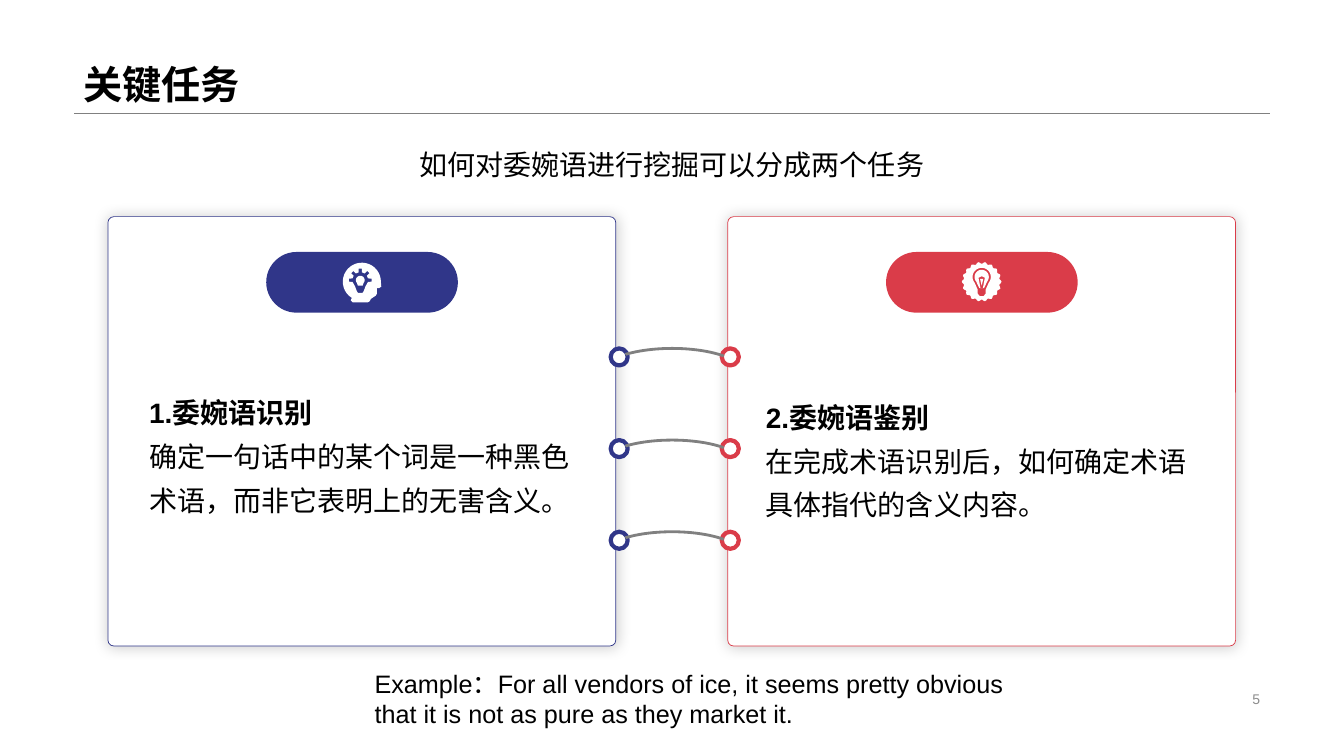
from math import cos, radians, sin

from lxml import etree
from pptx import Presentation
from pptx.dml.color import RGBColor
from pptx.enum.shapes import MSO_CONNECTOR, MSO_SHAPE
from pptx.enum.text import MSO_ANCHOR, MSO_AUTO_SIZE, PP_ALIGN
from pptx.oxml import parse_xml
from pptx.oxml.ns import qn
from pptx.util import Cm, Pt

ROUNDED, OVAL, ARC = MSO_SHAPE.ROUNDED_RECTANGLE, MSO_SHAPE.OVAL, MSO_SHAPE.ARC
MIDDLE, TOP, BOTTOM = MSO_ANCHOR.MIDDLE, MSO_ANCHOR.TOP, MSO_ANCHOR.BOTTOM
LEFT, CENTER, RIGHT = PP_ALIGN.LEFT, PP_ALIGN.CENTER, PP_ALIGN.RIGHT
COLORS = {name: RGBColor.from_string(value) for name, value in {
    "blue": "303689", "red": "DA3C49", "white": "FFFFFF",
    "black": "000000", "gray": "808080", "number": "8C8C8C"}.items()}
CARD_SHADOW = (
    '<a:effectLst xmlns:a="http://schemas.openxmlformats.org/drawingml/2006/main">'
    '<a:outerShdw blurRad="127000" dist="0" dir="0" algn="ctr" rotWithShape="0">'
    '<a:srgbClr val="000000"><a:alpha val="20000"/></a:srgbClr>'
    '</a:outerShdw></a:effectLst>')

prs = Presentation()
prs.slide_width, prs.slide_height = Cm(33.87), Cm(19.05)
s = prs.slides.add_slide(prs.slide_layouts[5])


def arc_points(cx, cy, radius, start, end, step=10):
    """Points on a circle, angles in degrees running clockwise from the right."""
    return [(cx + radius * cos(radians(a)), cy + radius * sin(radians(a)))
            for a in range(start, end + 1, step)]


def write_text(sp, lines, size, color="black", align=LEFT, anchor=MIDDLE,
               spacing=1.0, bold_first=False):
    tf = sp.text_frame
    tf.word_wrap = True
    tf.auto_size = MSO_AUTO_SIZE.NONE
    tf.vertical_anchor = anchor
    tf.text = "\n".join(lines)
    for i, p in enumerate(tf.paragraphs):
        p.alignment, p.line_spacing = align, spacing
        p.space_before = Pt(0)
        font = p.runs[0].font
        font.name, font.size = "Arial", Pt(size)
        font.bold = bold_first and i == 0
        font.color.rgb = COLORS[color]


# Title, rule and texts outside the cards
title = s.shapes.title
title.left, title.top, title.width, title.height = Cm(1.85), Cm(0), Cm(30.15), Cm(2.84)
write_text(title, ["关键任务"], 28, anchor=BOTTOM, spacing=0.9, bold_first=True)

rule = s.shapes.add_connector(MSO_CONNECTOR.STRAIGHT, Cm(1.87), Cm(2.86), Cm(32), Cm(2.86))
rule.line.color.rgb = COLORS["gray"]
rule.line.width = Pt(0.25)
etree.SubElement(rule._element.spPr, qn("a:effectLst"))

intro = s.shapes.add_textbox(Cm(2.72), Cm(3.25), Cm(28.42), Cm(1.55))
write_text(intro, ["如何对委婉语进行挖掘可以分成两个任务"], 20, align=CENTER, spacing=1.3)
example = s.shapes.add_textbox(Cm(9.19), Cm(16.71), Cm(16.94), Cm(1.8))
write_text(example, ["Example：For all vendors of ice, it seems pretty obvious "
                     "that it is not as pure as they market it."], 18, anchor=TOP)
number = s.shapes.add_textbox(Cm(23.93), Cm(17.32), Cm(8.08), Cm(0.58))
write_text(number, ["5"], 10, "number", RIGHT)

# Icon outlines in cm around the icon centre; each further contour cuts into the last
rays = [pt for a in range(180, 361, 45)
        for turn, radius in ((-12, 0.2), (-8, 0.29), (8, 0.29), (12, 0.2))
        for pt in arc_points(-0.04, -0.04, radius, a + turn, a + turn)]
head_icon = [
    arc_points(0, 0, 0.48, 122, 362) + [
        (0.49, 0.12), (0.44, 0.16), (0.38, 0.16), (0.38, 0.3), (0.35, 0.35),
        (0.23, 0.43), (0.2, 0.49), (0.15, 0.52), (-0.23, 0.52), (-0.28, 0.47)],
    rays + [(0.09, 0.12), (0.05, 0.23), (0.02, 0.28),
            (-0.1, 0.28), (-0.13, 0.23), (-0.17, 0.12)],
    arc_points(-0.04, -0.04, 0.11, 140, 400) + [(0.02, 0.1), (-0.1, 0.1)],
]
gear = [pt for a in range(0, 360, 4)
        for pt in arc_points(0, 0, 0.475 + 0.025 * cos(radians(18 * a)), a, a)]
gear_icon = [
    gear,
    arc_points(0, -0.12, 0.23, 140, 400) + [(0.1, 0.2), (0.1, 0.3), (0.05, 0.36),
                                            (-0.05, 0.36), (-0.1, 0.3), (-0.1, 0.2)],
    arc_points(0, -0.12, 0.18, 140, 400) + [(0.06, 0.16), (-0.06, 0.16)],
    [(-0.08, -0.1), (0, -0.14), (0.08, -0.1), (0.03, 0.16), (-0.03, 0.16)],
    [(-0.04, -0.07), (0.04, -0.07), (0, 0.1)],
]

# Cards: left edge, colour, dot left, text left, text top, icon, lines
CARDS = [
    (2.72, "blue", 15.39, 3.51, 8.08, head_icon,
     ["1.委婉语识别", "确定一句话中的某个词是一种黑色术语，而非它表明上的无害含义。"]),
    (18.34, "red", 18.19, 19.05, 8.2, gear_icon,
     ["2.委婉语鉴别", "在完成术语识别后，如何确定术语具体指代的含义内容。"]),
]
LINK_TOPS = [8.78 + 2.31 * i for i in range(3)]

for left, color, dot_left, text_left, text_top, icon, lines in CARDS:
    card = s.shapes.add_shape(ROUNDED, Cm(left), Cm(5.46), Cm(12.8), Cm(10.82))
    card.adjustments[0] = 0.014
    pill = s.shapes.add_shape(ROUNDED, Cm(left + 3.99), Cm(6.35), Cm(4.83), Cm(1.53))
    pill.adjustments[0] = 0.5
    dots = [s.shapes.add_shape(OVAL, Cm(dot_left), Cm(top), Cm(0.43), Cm(0.43))
            for top in LINK_TOPS]

    icon_x, icon_y = left + 6.4, 7.1
    contours = [[((icon_x + x) * 1000, (icon_y + y) * 1000) for x, y in contour]
                for contour in icon]
    builder = s.shapes.build_freeform(*contours[0][0], scale=Cm(0.001))
    builder.add_line_segments(contours[0][1:])
    for contour in contours[1:]:
        builder.move_to(*contour[0])
        builder.add_line_segments(contour[1:])
    icon_shape = builder.convert_to_shape()

    for sp, fill, width in [(card, "white", 0.5), (pill, color, 0),
                            (icon_shape, "white", 0)] + [(dot, "white", 3) for dot in dots]:
        sp.shadow.inherit = False
        sp.fill.solid()
        sp.fill.fore_color.rgb = COLORS[fill]
        if width:
            sp.line.color.rgb = COLORS[color]
            sp.line.width = Pt(width)
        else:
            sp.line.fill.background()
    effects = card._element.spPr.find(qn("a:effectLst"))
    effects.getparent().replace(effects, parse_xml(CARD_SHADOW))

    body = s.shapes.add_textbox(Cm(text_left), Cm(text_top), Cm(11.35), Cm(6.58))
    write_text(body, lines, 20, spacing=1.3, bold_first=True)

# Arcs joining the dots of the two cards
for top in LINK_TOPS:
    link = s.shapes.add_shape(ARC, Cm(15.06), Cm(top), Cm(3.76), Cm(1.37))
    link.adjustments[0], link.adjustments[1] = 122.61, 203.52
    link.shadow.inherit = False
    link.fill.background()
    link.line.color.rgb = COLORS["gray"]
    link.line.width = Pt(2)

prs.save("out.pptx")
